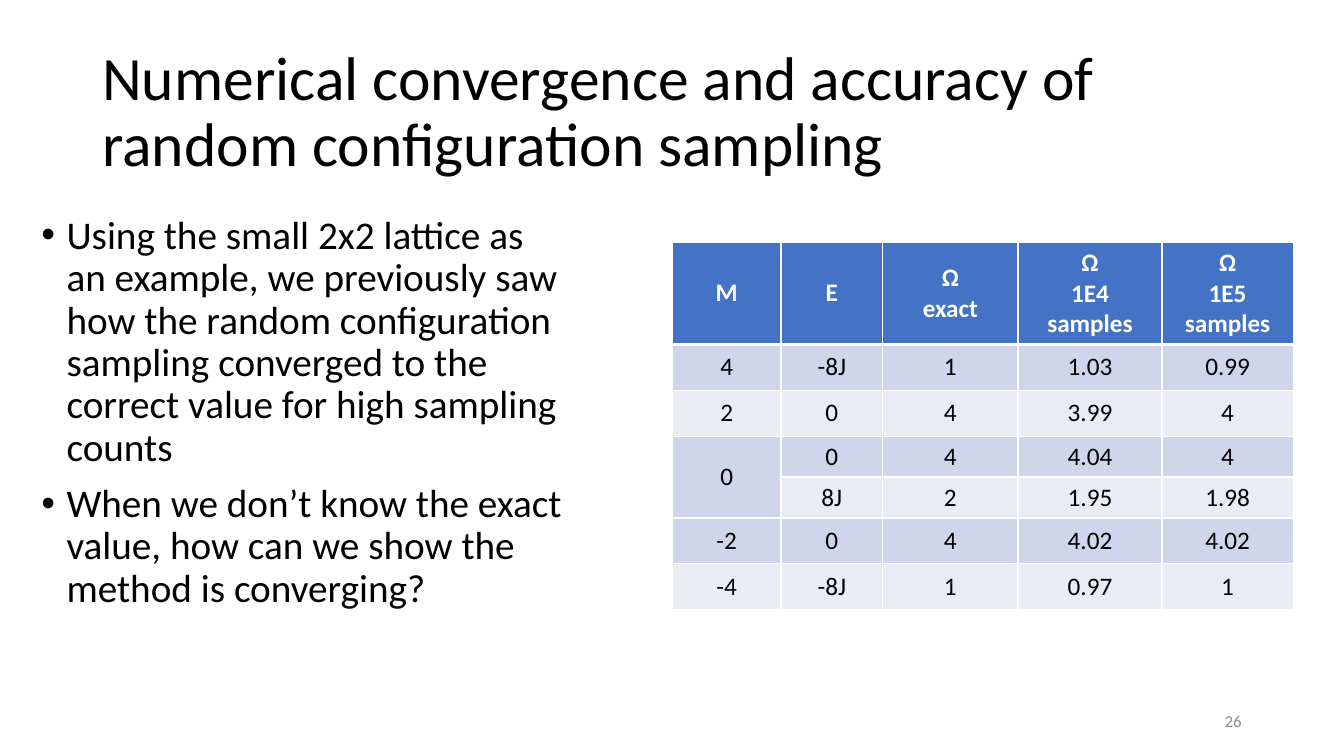
from lxml.etree import SubElement
from pptx import Presentation
from pptx.dml.color import RGBColor
from pptx.enum.text import MSO_ANCHOR, PP_ALIGN
from pptx.oxml.ns import qn
from pptx.util import Pt

TITLE = "Numerical convergence and accuracy of random configuration sampling"
POINTS = [
    "Using the small 2x2 lattice as an example, we previously saw how the random "
    "configuration sampling converged to the correct value for high sampling counts",
    "When we don’t know the exact value, how can we show the method is converging?",
]
ROWS = [
    ["M", "E", "Ω\nexact", "Ω\n1E4 samples", "Ω\n1E5 samples"],
    ["4", "-8J", "1", "1.03", "0.99"],
    ["2", "0", "4", "3.99", "4"],
    ["0", "0", "4", "4.04", "4"],
    ["", "8J", "2", "1.95", "1.98"],
    ["-2", "0", "4", "4.02", "4.02"],
    ["-4", "-8J", "1", "0.97", "1"],
]
WIDTHS = [77.5, 72.8, 96.5, 103, 93.6]
HEIGHTS = [73, 32.8, 32.8, 29.2, 29.2, 32.8, 32.8]


def color(text):
    return RGBColor.from_string(text)


def style(para, size, tint="000000", bold=False):
    font = para.font
    font.name = "Calibri"
    font.size = Pt(size)
    font.bold = bold
    font.color.rgb = color(tint)


def add_text(slide, box, lines, size, tint="000000", anchor=MSO_ANCHOR.TOP):
    frame = slide.shapes.add_textbox(*map(Pt, box)).text_frame
    frame.word_wrap = True
    frame.vertical_anchor = anchor
    frame.text = "\n".join(lines)
    for para in frame.paragraphs:
        style(para, size, tint)
    return frame.paragraphs


def add_bullet(para):
    para.line_spacing = 0.9
    para.space_before = Pt(10)
    props = para._p.get_or_add_pPr()
    props.set("marL", str(Pt(18)))
    props.set("indent", str(Pt(-18)))
    SubElement(props, qn("a:buFont"), typeface="Arial")
    SubElement(props, qn("a:buChar"), char="•")


def add_edge(cell, side, width):
    line = SubElement(cell._tc.get_or_add_tcPr(), qn("a:ln" + side), w=str(Pt(width)))
    fill = SubElement(line, qn("a:solidFill"))
    SubElement(fill, qn("a:srgbClr"), val="FFFFFF")


def fill_cell(cell, text, row):
    head = row == 0
    for side in "LRTB":
        thick = (row, side) in [(0, "B"), (1, "T")]
        add_edge(cell, side, 3 if thick else 1)
    cell.fill.solid()
    band = "CFD5EA" if row % 2 else "E9EBF5"
    cell.fill.fore_color.rgb = color("4472C4" if head else band)
    cell.vertical_anchor = MSO_ANCHOR.MIDDLE
    cell.text = text
    for para in cell.text_frame.paragraphs:
        para.alignment = PP_ALIGN.CENTER
        style(para, 18, "FFFFFF" if head else "000000", head)


def add_grid(slide, left, top):
    size = (left, top, sum(WIDTHS), sum(HEIGHTS))
    table = slide.shapes.add_table(len(ROWS), len(WIDTHS), *map(Pt, size)).table
    table.horz_banding = False
    for col, width in zip(table.columns, WIDTHS):
        col.width = Pt(width)
    for row, height in zip(table.rows, HEIGHTS):
        row.height = Pt(height)
    for row, texts in enumerate(ROWS):
        for col, text in enumerate(texts):
            fill_cell(table.cell(row, col), text, row)
    table.cell(3, 0).merge(table.cell(4, 0))


def main():
    deck = Presentation()
    deck.slide_width = Pt(960)
    deck.slide_height = Pt(540)
    slide = deck.slides.add_slide(deck.slide_layouts[6])
    title = add_text(slide, (66, 28.75, 828, 104.4), [TITLE], 44, anchor=MSO_ANCHOR.MIDDLE)
    title[0].line_spacing = 0.9
    for para in add_text(slide, (22.5, 150.5, 390, 342.6), POINTS, 28):
        add_bullet(para)
    number = add_text(slide, (678, 500.5, 216, 28.75), ["26"], 12, "8C8C8C", MSO_ANCHOR.MIDDLE)
    number[0].alignment = PP_ALIGN.RIGHT
    add_grid(slide, 480.3, 173)
    deck.save("out.pptx")


if __name__ == "__main__":
    main()
